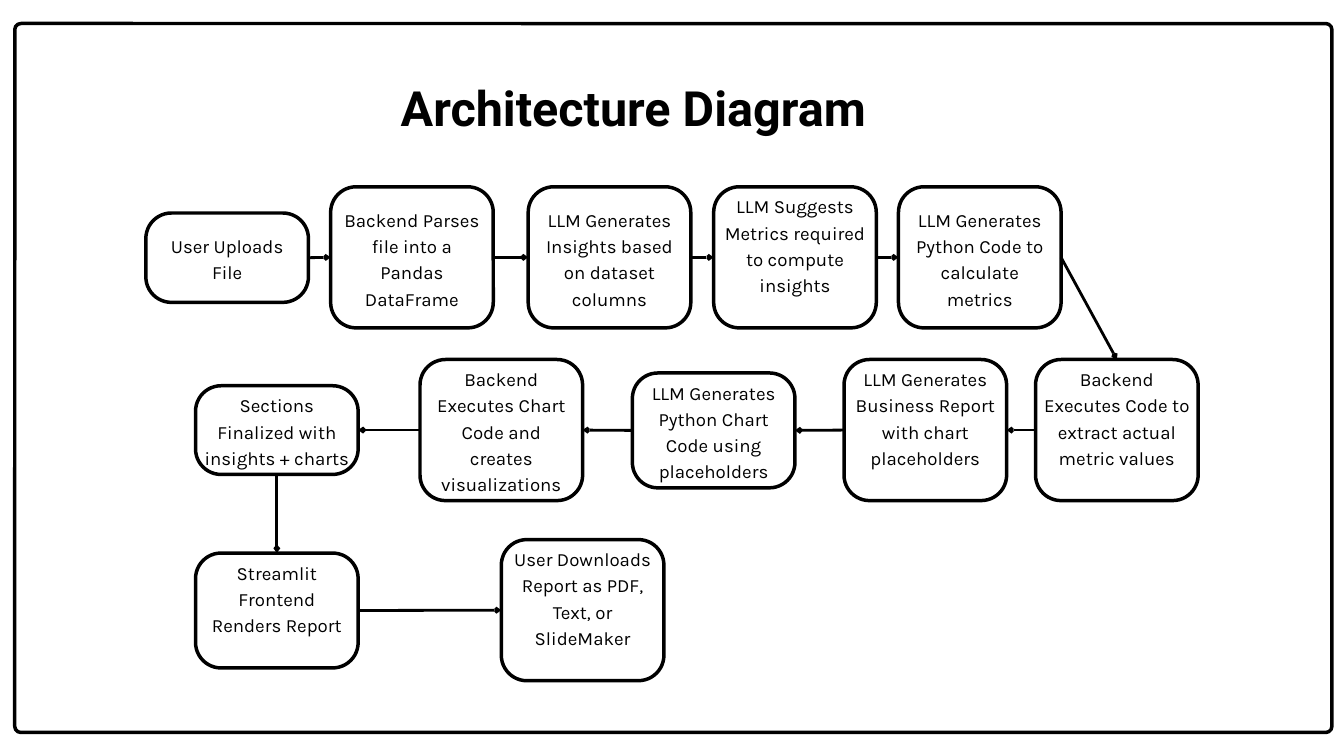
from dataclasses import dataclass
from itertools import pairwise
from typing import NamedTuple

from lxml.etree import SubElement
from pptx import Presentation
from pptx.dml.color import RGBColor
from pptx.enum.shapes import MSO_CONNECTOR as Connector, MSO_SHAPE as Shape
from pptx.enum.text import PP_ALIGN as Align
from pptx.oxml.ns import qn
from pptx.util import Emu, Pt

PX = 9144
TOP, LEFT, BOTTOM, RIGHT = range(4)


class Box(NamedTuple):
    """A rectangle in px."""
    left: int
    top: int
    width: int
    height: int

    def emu(self):
        """Return the four lengths in EMU."""
        return [Emu(length * PX) for length in self]

    def inner(self, left, top, width, height):
        """Return a rectangle placed relative to this one."""
        return Box(self.left + left, self.top + top, width, height)


@dataclass(frozen=True)
class Theme:
    """Colours, fonts and type sizes of the slide."""
    ink: RGBColor = RGBColor(0, 0, 0)
    paper: RGBColor = RGBColor(255, 255, 255)
    title_font: str = "Roboto"
    title_size: float = 52
    title_leading: float = 72.8
    step_font: str = "Karla"
    step_size: float = 20
    step_leading: float = 28.1
    outline: float = 3.75
    arrow: float = 3


THEME = Theme()
STEP_WIDTH, STEP_RADIUS, STEP_PADDING = 242, 38, 12
SLIDE = Box(0, 0, 2000, 1125)
FRAME = SLIDE.inner(22, 35, 1960, 1055)
ROWS = [
    (348, [
        (195, 133, 27, "User Uploads File"),
        (470, 210, 27, "Backend Parses file into a Pandas DataFrame"),
        (764, 210, 27, "LLM Generates Insights based on dataset columns"),
        (1040, 210, 7, "LLM Suggests Metrics required to compute insights"),
        (1315, 210, 27, "LLM Generates Python Code to calculate metrics"),
    ]),
    (605, [
        (1519, 210, 7, "Backend Executes Code to extract actual metric values"),
        (1234, 210, 7, "LLM Generates Business Report with chart placeholders"),
        (919, 171, 7, "LLM Generates Python Chart Code using placeholders"),
        (603, 210, 7, "Backend Executes Chart Code and creates visualizations"),
        (269, 132, 7, "Sections Finalized with insights + charts"),
    ]),
    (873, [
        (269, 171, 7, "Streamlit Frontend Renders Report"),
        (724, 210, 7, "User Downloads Report as PDF, Text, or SlideMaker"),
    ]),
]
LINKS = (
    [(RIGHT, LEFT)] * 4 + [(RIGHT, TOP)]
    + [(LEFT, RIGHT)] * 4 + [(BOTTOM, TOP), (RIGHT, LEFT)]
)


def add_panel(page, box, radius):
    """Draw an outlined rounded rectangle."""
    panel = page.shapes.add_shape(Shape.ROUNDED_RECTANGLE, *box.emu())
    panel.adjustments[0] = radius / min(box.width, box.height)
    panel.shadow.inherit = False
    panel.fill.solid()
    panel.fill.fore_color.rgb = THEME.paper
    panel.line.color.rgb = THEME.ink
    panel.line.width = Pt(THEME.outline)
    return panel


def add_text(page, box, text, font, size, leading, bold=False):
    """Write one centred paragraph in a box without margins."""
    frame = page.shapes.add_textbox(*box.emu()).text_frame
    frame.word_wrap = True
    frame.margin_left = frame.margin_right = 0
    frame.margin_top = frame.margin_bottom = 0
    para = frame.paragraphs[0]
    para.text = text
    para.alignment = Align.CENTER
    para.line_spacing = Pt(leading)
    para.font.name = font
    para.font.size = Pt(size)
    para.font.bold = bold
    para.font.color.rgb = THEME.ink


def add_step(page, box, inset, text):
    """Draw one step of the flow and return its panel."""
    panel = add_panel(page, box, STEP_RADIUS)
    label = box.inner(
        STEP_PADDING, inset, box.width - 2 * STEP_PADDING, box.height - 2 * inset
    )
    add_text(page, label, text, THEME.step_font, THEME.step_size, THEME.step_leading)
    return panel


def add_arrow(page, source, target, source_side, target_side):
    """Join two steps with an arrow."""
    arrow = page.shapes.add_connector(Connector.STRAIGHT, 0, 0, 0, 0)
    arrow.begin_connect(source, source_side)
    arrow.end_connect(target, target_side)
    arrow.line.color.rgb = THEME.ink
    arrow.line.width = Pt(THEME.arrow)
    line = arrow.line._get_or_add_ln()
    SubElement(line, qn("a:tailEnd"), type="arrow", w="sm", len="sm")
    SubElement(arrow._element.spPr, qn("a:effectLst"))


def add_flow(page, box):
    """Draw the rows of steps and the arrows between them."""
    steps = [
        add_step(
            page, box.inner(left, centre - height // 2, STEP_WIDTH, height), inset, text
        )
        for centre, row in ROWS
        for left, height, inset, text in row
    ]
    for (source, target), sides in zip(pairwise(steps), LINKS):
        add_arrow(page, source, target, *sides)


def add_title(page, box):
    """Write the slide title."""
    add_text(
        page, box.inner(544, 67, 753, 97), "Architecture Diagram",
        THEME.title_font, THEME.title_size, THEME.title_leading, bold=True,
    )


def main():
    """Build and save the deck."""
    deck = Presentation()
    deck.slide_width, deck.slide_height = SLIDE.emu()[2:]
    page = deck.slides.add_slide(deck.slide_layouts[6])
    add_panel(page, FRAME, 9)
    add_flow(page, FRAME)
    add_title(page, FRAME)
    deck.save("out.pptx")


if __name__ == "__main__":
    main()
